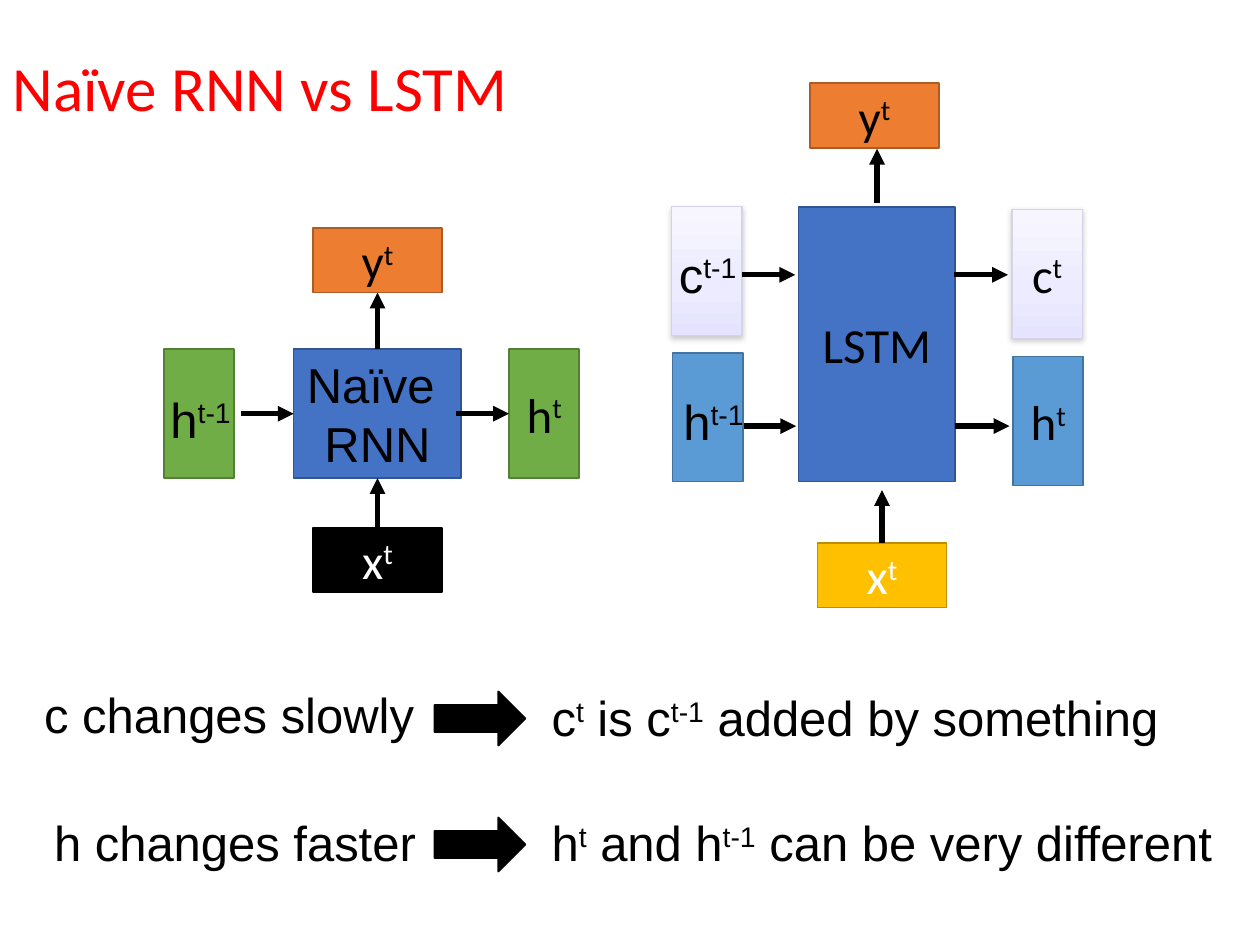
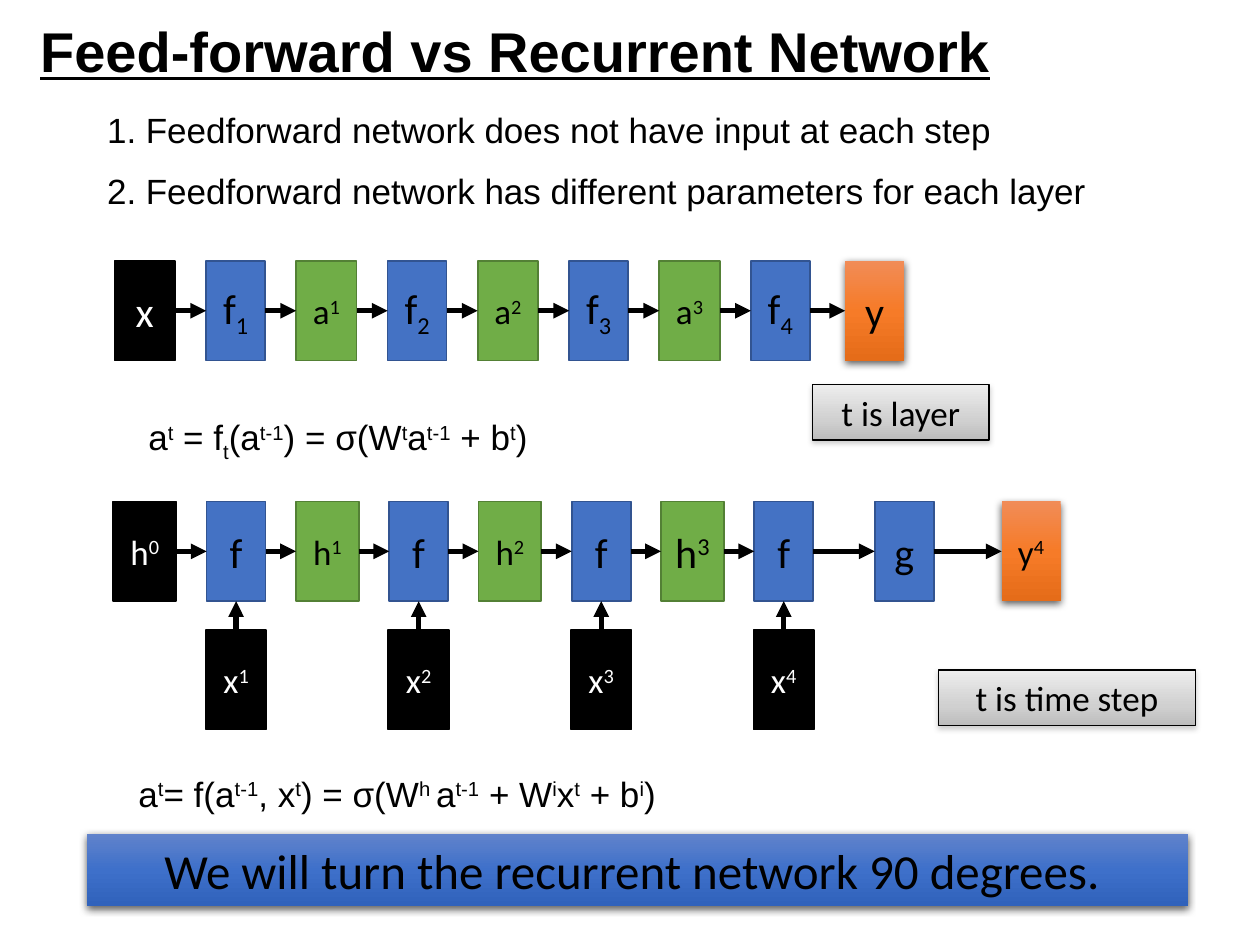
"""Build two slides comparing plain RNNs, LSTMs and feed-forward networks."""
from lxml.etree import SubElement
from pptx import Presentation
from pptx.dml.color import RGBColor
from pptx.enum.shapes import MSO_CONNECTOR, MSO_SHAPE
from pptx.enum.text import MSO_ANCHOR, MSO_AUTO_SIZE, PP_ALIGN
from pptx.oxml import parse_xml
from pptx.oxml.ns import nsdecls, qn
from pptx.util import Cm, Pt

COLORS = {
    "black": "000000", "white": "FFFFFF", "red": "FF0000",
    "blue": "4472C4", "blue edge": "325491",
    "green": "70AD47", "green edge": "538035",
    "orange": "ED7D31", "orange edge": "AF5C24",
    "sky": "5B9BD5", "sky edge": "43739E",
    "gold": "FFC000", "gold edge": "BD8E00", "lilac edge": "D4D3E7",
}
GRADIENTS = {
    "lilac": [(0, "F7F6FF"), (65, "ECEBFF"), (100, "E5E3FF")],
    "glow": [(0, "F18C57"), (50, "F67B28"), (100, "E56C19")],
    "silver": [(0, "EDEDED"), (65, "D0D0D0"), (100, "BCBCBC")],
    "banner": [(0, "6183CB"), (50, "3E70CA"), (100, "3062BB")],
}
SOFT_SHADOW = ("808080", 38, 3.1, 1.6)
DEEP_SHADOW = ("000000", 63, 4.5, 1.5)
STYLES = {
    "input": dict(fill="black", edge="black", ink="white"),
    "step": dict(fill="blue", edge="blue edge"),
    "state": dict(fill="green", edge="green edge"),
    "output": dict(fill="orange", edge="orange edge"),
    "hidden": dict(fill="sky", edge="sky edge"),
    "lstm input": dict(fill="gold", edge="gold edge", ink="white"),
    "memory": dict(fill="lilac", edge="lilac edge", edge_pt=0.75, shadow=SOFT_SHADOW),
    "glowing output": dict(fill="glow", shadow=DEEP_SHADOW),
    "note": dict(fill="silver", edge="black", edge_pt=0.75, shadow=SOFT_SHADOW),
    "banner": dict(fill="banner", shadow=DEEP_SHADOW),
}
TOP, LEFT, BOTTOM, RIGHT = range(4)

FLAT, TALL = (2.6, 1.3), (1.42, 2.6)
CELLS = {
    "rnn": ("Naïve \nRNN", "step", 5.92, 7.04, 3.38, 2.6),
    "rnn h before": ("", "state", 3.3, 7.04, *TALL),
    "rnn h": ("h{^t}", "state", 10.26, 7.04, *TALL),
    "rnn y": ("y{^t}", "output", 6.31, 4.6, *FLAT),
    "rnn x": ("x{^t}", "input", 6.31, 10.64, *FLAT),
    "lstm": ("LSTM", "step", 16.1, 4.17, 3.15, 5.54),
    "lstm c before": ("", "memory", 13.54, 4.17, *TALL),
    "lstm c": ("c{^t}", "memory", 20.4, 4.22, *TALL),
    "lstm h before": ("", "hidden", 13.56, 7.11, *TALL),
    "lstm h": ("h{^t}", "hidden", 20.42, 7.19, *TALL),
    "lstm y": ("y{^t}", "output", 16.33, 1.68, *FLAT),
    "lstm x": ("x{^t}", "lstm input", 16.48, 10.95, *FLAT),
}
FLOWS = [
    ((4.85, 8.34), ("rnn", LEFT)),
    ((9.19, 8.34), ("rnn h", LEFT)),
    (("rnn", TOP), ("rnn y", BOTTOM)),
    (("rnn x", TOP), ("rnn", BOTTOM)),
    (("lstm x", TOP), (17.78, 9.88)),
    ((17.68, 4.09), (17.68, 3.0)),
    ((14.96, 5.54), (16.03, 5.54)),
    ((14.99, 8.59), (16.05, 8.59)),
    ((19.23, 5.54), (20.32, 5.54)),
    ((19.25, 8.59), (20.35, 8.59)),
]
BEFORE_LABELS = [("h{^t-1}", 3.12, 7.72), ("h{^t-1}", 13.46, 7.77), ("c{^t-1}", 13.34, 4.8)]
CLAIMS = [
    ("c changes slowly", 0.64, 13.67, "c{^t} is c{^t-1} added by something", 13.74, 13.94),
    ("h changes faster", 0.84, 16.26, "h{^t} and h{^t-1} can be very different", 16.26, 16.48),
]

DIFFERENCES = [
    "Feedforward network does not have input at each step",
    "Feedforward network has different parameters for each layer",
]
FEEDFORWARD = [
    (0, "x", "input", 24, 1.22),
    (1, "f{_1}", "step", 24, 1.19),
    (2, "a{^1}", "state", 20, 1.22),
    (3, "f{_2}", "step", 24, 1.19),
    (4, "a{^2}", "state", 20, 1.22),
    (5, "f{_3}", "step", 24, 1.19),
    (6, "a{^3}", "state", 20, 1.22),
    (7, "f{_4}", "step", 24, 1.19),
    (8.04, "y", "glowing output", 24, 1.19),
]
RECURRENT = [
    (0, "h{^0}", "input", 20, 1.27),
    (1, "f", "step", 24, 1.19),
    (2, "h{^1}", "state", 20, 1.27),
    (3, "f", "step", 24, 1.19),
    (4, "h{^2}", "state", 20, 1.27),
    (5, "f", "step", 24, 1.19),
    (6, "h{^3}", "state", 24, 1.27),
    (7, "f", "step", 24, 1.19),
    (8.32, "g", "step", 24, 1.19),
    (9.71, "y{^4}", "glowing output", 20, 1.19),
]
STEP_INPUTS = ["x{^1}", "x{^2}", "x{^3}", "x{^4}"]
CHAIN_START, CELL_HEIGHT = 2.92, 2.01
FORMULAS = [
    ("a{^t} = f{_t}(a{^t-1}) = σ(W{^t}a{^t-1} + b{^t})", 2.74, 8.26),
    ("a{^t}= f(a{^t-1}, x{^t}) = σ(W{^h }a{^t-1} + W{^i}x{^t} + b{^i})", 2.54, 15.44),
]
NOTES = [
    ("t is layer", "note", 16.38, 7.75, 3.56, 1.12, 20),
    ("t is time step", "note", 18.92, 13.51, 5.18, 1.12, 20),
    ("We will turn the recurrent network 90 degrees. ", "banner", 1.75, 16.81, 22.2, 1.45, 28),
]


def rgb(name):
    return RGBColor.from_string(COLORS[name])


def write(frame, text, size=28, font="Arial", ink="black", align=PP_ALIGN.LEFT,
          anchor=MSO_ANCHOR.TOP, side=0.25, bold=False, underline=False, spacing=1.0, gap=0):
    """Write text into a frame, with {^up} and {_down} marking raised and lowered parts."""
    frame.word_wrap = True
    frame.auto_size = MSO_AUTO_SIZE.NONE
    frame.vertical_anchor = anchor
    frame.margin_left = frame.margin_right = Cm(side)
    for row, line in enumerate(text.split("\n")):
        paragraph = frame.add_paragraph() if row else frame.paragraphs[0]
        paragraph.alignment = align
        paragraph.line_spacing = spacing
        paragraph.space_before = Pt(gap if row else 0)
        for part in filter(None, line.replace("}", "{").split("{")):
            baseline = {"^": "30000", "_": "-25000"}.get(part[0])
            run = paragraph.add_run()
            run.text = part[1:] if baseline else part
            run.font.name, run.font.size = font, Pt(size)
            run.font.bold, run.font.underline = bold, underline
            run.font.color.rgb = rgb(ink)
            if baseline:
                run.font._element.set("baseline", baseline)


def add_text(slide, text, left, top, width, height=1.45, **look):
    box = slide.shapes.add_textbox(Cm(left), Cm(top), Cm(width), Cm(height))
    write(box.text_frame, text, **look)


def place_title(slide, text, left, top, width, height, **look):
    title = slide.shapes.title
    title.left, title.top, title.width, title.height = map(Cm, (left, top, width, height))
    write(title.text_frame, text, **look)


def paint(shape, fill, edge=None, edge_pt=1, shadow=None):
    if fill in GRADIENTS:
        shape.fill.background()
        stops = "".join(f'<a:gs pos="{pos * 1000}"><a:srgbClr val="{color}"/></a:gs>'
                        for pos, color in GRADIENTS[fill])
        properties = shape.element.spPr
        properties.replace(properties.find(qn("a:noFill")), parse_xml(
            f'<a:gradFill {nsdecls("a")} rotWithShape="1"><a:gsLst>{stops}</a:gsLst>'
            '<a:lin ang="5400000" scaled="0"/></a:gradFill>'))
    else:
        shape.fill.solid()
        shape.fill.fore_color.rgb = rgb(fill)
    if edge:
        shape.line.color.rgb = rgb(edge)
        shape.line.width = Pt(edge_pt)
    else:
        shape.line.fill.background()
    shape.shadow.inherit = False
    if shadow:
        color, alpha, blur, distance = shadow
        shape.element.spPr.find(qn("a:effectLst")).append(parse_xml(
            f'<a:outerShdw {nsdecls("a")} blurRad="{Pt(blur)}" dist="{Pt(distance)}" '
            f'dir="5400000" rotWithShape="0"><a:srgbClr val="{color}">'
            f'<a:alpha val="{alpha * 1000}"/></a:srgbClr></a:outerShdw>'))


def add_cell(slide, text, style, left, top, width, height, size=28, font="Calibri"):
    look = dict(STYLES[style])
    ink = look.pop("ink", "black")
    cell = slide.shapes.add_shape(MSO_SHAPE.RECTANGLE, Cm(left), Cm(top), Cm(width), Cm(height))
    paint(cell, **look)
    if text:
        write(cell.text_frame, text, size=size, font=font, ink=ink, side=0,
              align=PP_ALIGN.CENTER, anchor=MSO_ANCHOR.MIDDLE)
    return cell


def add_flow(slide, begin, end):
    """Draw an arrow; each end is a point in cm or a (shape, side) pair."""
    points = [(0, 0) if hasattr(spot[0], "shape_id") else spot for spot in (begin, end)]
    arrow = slide.shapes.add_connector(
        MSO_CONNECTOR.STRAIGHT, *(Cm(value) for point in points for value in point))
    for spot, join in ((begin, arrow.begin_connect), (end, arrow.end_connect)):
        if hasattr(spot[0], "shape_id"):
            join(*spot)
    arrow.line.color.rgb = rgb("black")
    arrow.line.width = Pt(3)
    properties = arrow.element.spPr
    SubElement(properties.find(qn("a:ln")), qn("a:tailEnd"), type="triangle")
    SubElement(properties, qn("a:effectLst"))


def add_chain(slide, cells, top, pitch):
    chain = [add_cell(slide, text, style, CHAIN_START + pitch * slot - width / 2, top,
                      width, CELL_HEIGHT, size)
             for slot, text, style, size, width in cells]
    for cell, following in zip(chain, chain[1:]):
        add_flow(slide, (cell, RIGHT), (following, LEFT))
    return chain


def build_lstm_slide(deck):
    slide = deck.slides.add_slide(deck.slide_layouts[5])
    place_title(slide, "Naïve RNN vs LSTM", 0, 0, 13.28, 3.68, size=36, font="Calibri",
                ink="red", anchor=MSO_ANCHOR.MIDDLE, spacing=0.9)
    cells = {name: add_cell(slide, *cell, font="Arial" if name == "rnn" else "Calibri")
             for name, cell in CELLS.items()}
    for flow in FLOWS:
        add_flow(slide, *((cells.get(spot[0], spot[0]), spot[1]) for spot in flow))
    for text, left, top in BEFORE_LABELS:
        add_text(slide, text, left, top, 1.85, align=PP_ALIGN.CENTER, side=0)
    for claim, left, top, result, result_top, arrow_top in CLAIMS:
        add_text(slide, claim, left, top, 8.26)
        add_text(slide, result, 10.87, result_top, 14.53)
        arrow = slide.shapes.add_shape(MSO_SHAPE.RIGHT_ARROW, Cm(8.76), Cm(arrow_top),
                                       Cm(1.83), Cm(1.09))
        paint(arrow, "black", "black")


def build_recurrent_slide(deck):
    slide = deck.slides.add_slide(deck.slide_layouts[1])
    place_title(slide, "Feed-forward vs Recurrent Network", 0.56, 0.2, 22, 1.63,
                size=32, bold=True, underline=True)
    body = slide.placeholders[1]
    body.left, body.top, body.width, body.height = Cm(1.91), Cm(2.06), Cm(22.7), Cm(2.4)
    write(body.text_frame, "\n".join(DIFFERENCES), size=20, gap=11)
    for paragraph in body.text_frame.paragraphs:
        properties = paragraph._p.get_or_add_pPr()
        properties.set("marL", str(Cm(0.78)))
        properties.set("indent", str(Cm(-0.78)))
        SubElement(properties, qn("a:buAutoNum"), type="arabicPeriod")

    add_chain(slide, FEEDFORWARD, 5.26, 1.83)
    recurrent = add_chain(slide, RECURRENT, 10.11, 1.84)
    for index, text in enumerate(STEP_INPUTS):
        slot = 2 * index + 1
        step_input = add_cell(slide, text, "input", CHAIN_START + 1.84 * slot - 0.61, 12.7,
                              1.22, CELL_HEIGHT, 20)
        add_flow(slide, (step_input, TOP), (recurrent[slot], BOTTOM))
    for note in NOTES:
        add_cell(slide, *note)
    for text, left, top in FORMULAS:
        add_text(slide, text, left, top, 13, 1.12, size=20)


def main():
    deck = Presentation()
    deck.slide_width, deck.slide_height = Cm(25.4), Cm(19.05)
    build_lstm_slide(deck)
    build_recurrent_slide(deck)
    deck.save("out.pptx")


if __name__ == "__main__":
    main()
